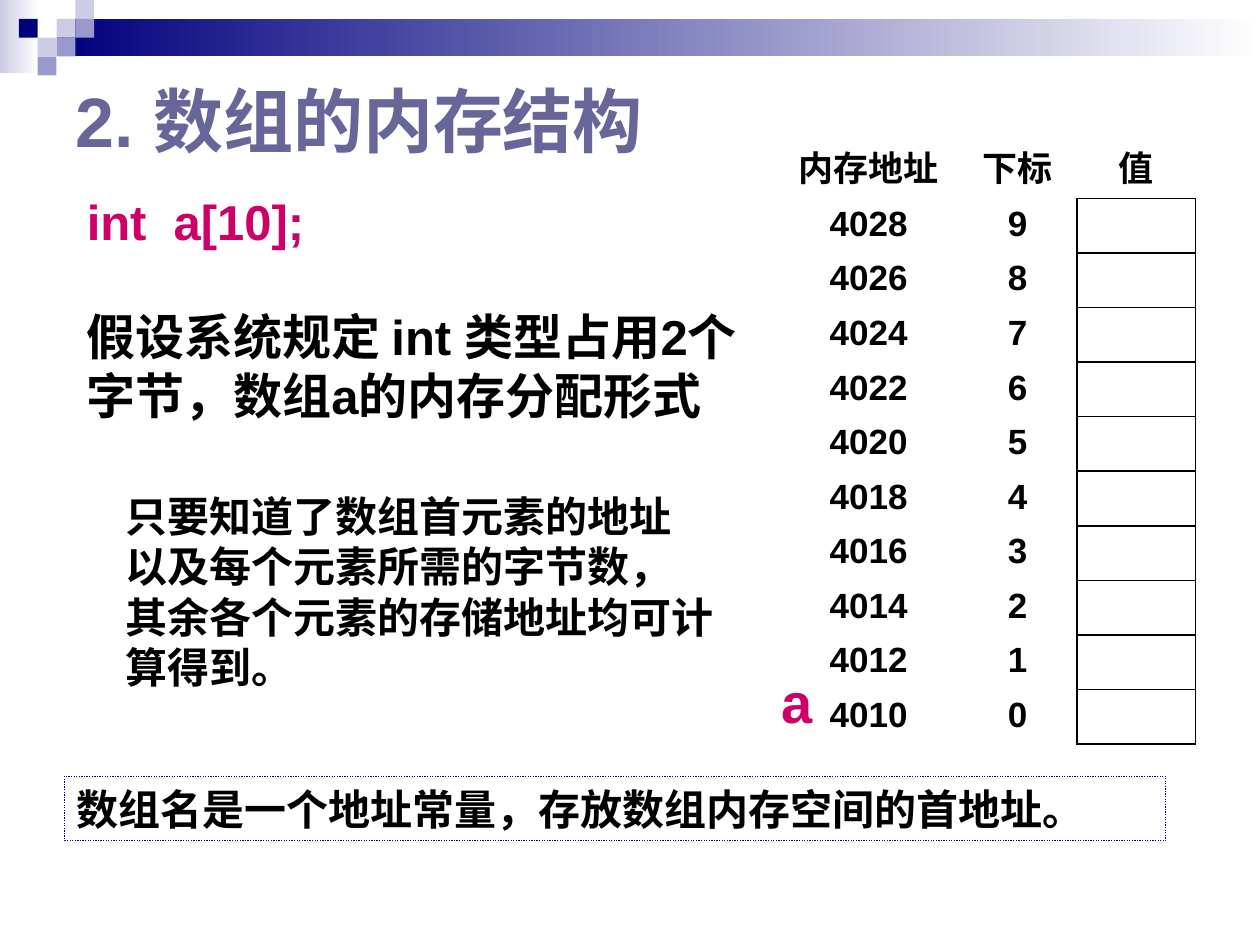
from lxml.etree import SubElement
from pptx import Presentation
from pptx.dml.color import RGBColor
from pptx.enum.dml import MSO_LINE
from pptx.enum.lang import MSO_LANGUAGE_ID as Lang
from pptx.enum.shapes import MSO_SHAPE as Shape
from pptx.enum.text import MSO_ANCHOR as Anchor, MSO_AUTO_SIZE as AutoSize, PP_ALIGN as Align
from pptx.oxml.ns import qn
from pptx.util import Cm, Pt

FONT = "Arial"
BLACK, WHITE, PINK, SLATE = "000000", "FFFFFF", "CC0066", "666699"
NAVY, LILAC, VIOLET = "00007D", "CCCCE6", "9999CC"
UNIT = 0.38  # side of one corner square, in cm
SQUARES = [  # column, row, colour
    (3, 1, LILAC), (4, 0, LILAC), (4, 1, VIOLET), (2, 2, LILAC),
    (1, 1, NAVY), (3, 2, VIOLET), (2, 3, VIOLET),
]
HEADERS = ["内存地址", "下标", "值"]
COUNT, FIRST_ADDRESS, INT_SIZE = 10, 4010, 2


def rgb(color):
    return RGBColor.from_string(color)


def format_text(tf, size, color, align=Align.LEFT):
    for p in tf.paragraphs:
        p.alignment = align
        for r in p.runs:
            r.font.name = FONT
            r.font.size = Pt(size)
            r.font.bold = True
            r.font.color.rgb = rgb(color)
            r.font.language_id = Lang.SIMPLIFIED_CHINESE


def add_rect(slide, x, y, w, h):
    sp = slide.shapes.add_shape(Shape.RECTANGLE, Cm(x), Cm(y), Cm(w), Cm(h))
    sp.shadow.inherit = False
    sp.line.fill.background()
    return sp


def add_square(slide, col, row, color):
    sp = add_rect(slide, col * UNIT, row * UNIT, UNIT, UNIT)
    sp.fill.solid()
    sp.fill.fore_color.rgb = rgb(color)


def add_fade(slide, x, y, w, h, color):
    """Rectangle fading from color at the left to white at the right."""
    fill = add_rect(slide, x, y, w, h).fill
    fill.gradient()
    fill.gradient_angle = 0
    for stop, (position, shade) in zip(fill.gradient_stops, [(0, color), (1, WHITE)]):
        stop.position = position
        stop.color.rgb = rgb(shade)


def add_title(slide, text):
    title = slide.shapes.title
    title.left, title.top, title.width, title.height = Cm(1.27), Cm(1.27), Cm(22.86), Cm(2.26)
    tf = title.text_frame
    tf.text = text
    tf.vertical_anchor = Anchor.MIDDLE
    tf.auto_size = AutoSize.NONE
    format_text(tf, 40, SLATE)


def add_text(slide, x, y, w, h, text, size, color, wrap=True, anchor=Anchor.MIDDLE):
    tf = slide.shapes.add_textbox(Cm(x), Cm(y), Cm(w), Cm(h)).text_frame
    tf.text = text
    tf.word_wrap = wrap
    tf.auto_size = AutoSize.SHAPE_TO_FIT_TEXT
    tf.vertical_anchor = anchor
    format_text(tf, size, color)


def add_note(slide, text):
    """Dotted box with the closing remark."""
    sp = add_rect(slide, 1.3, 15.65, 22.2, 1.3)
    sp.fill.background()
    sp.line.color.rgb = rgb(NAVY)
    sp.line.width = Pt(0.75)
    sp.line.dash_style = MSO_LINE.ROUND_DOT
    tf = sp.text_frame
    tf.text = text
    tf.word_wrap = True
    tf.vertical_anchor = Anchor.MIDDLE
    format_text(tf, 24, BLACK)


def set_borders(cell, sides):
    """Draw the sides named by letters of LRTB in black; leave the others without a line."""
    tc_pr = cell._tc.get_or_add_tcPr()
    for side in "LRTB":
        ln = SubElement(tc_pr, qn(f"a:ln{side}"), w=str(Pt(1)))
        if side in sides:
            fill = SubElement(ln, qn("a:solidFill"))
            SubElement(fill, qn("a:srgbClr"), val=BLACK)
        else:
            SubElement(ln, qn("a:noFill"))


def cell_sides(row, col):
    if col == 2:
        return "LRTB" if row else "B"
    return "R" if col == 1 and row else ""


def add_memory_table(slide):
    rows = [HEADERS]
    for i in reversed(range(COUNT)):
        rows.append([str(FIRST_ADDRESS + i * INT_SIZE), str(i), ""])
    frame = slide.shapes.add_table(len(rows), 3, Cm(15.7), Cm(2.72), Cm(8.4), Cm(12.1))
    table = frame.table
    table.first_row = table.horz_banding = False
    for column, width in zip(table.columns, [3.62, 2.39, 2.39]):
        column.width = Cm(width)
    for i, texts in enumerate(rows):
        table.rows[i].height = Cm(1.1)
        for j, text in enumerate(texts):
            cell = table.cell(i, j)
            cell.text = text
            set_borders(cell, cell_sides(i, j))
            cell.fill.background()
            format_text(cell.text_frame, 20, BLACK, Align.CENTER)


def main():
    prs = Presentation()
    prs.slide_width, prs.slide_height = Cm(25.4), Cm(19.05)
    slide = prs.slides.add_slide(prs.slide_layouts[5])

    add_fade(slide, 0, 0, 0.79, 1.47, LILAC)
    add_fade(slide, 1.14, 0.38, 24.26, 0.76, NAVY)
    for col, row, color in SQUARES:
        add_square(slide, col, row, color)

    add_title(slide, "2. 数组的内存结构")
    add_memory_table(slide)
    add_text(slide, 15.5, 13.34, 1.14, 1.63, "a", 32, PINK, wrap=False, anchor=Anchor.TOP)
    add_text(slide, 1.5, 3.73, 5.18, 1.45, "int  a[10];", 28, PINK, wrap=False, anchor=Anchor.TOP)
    add_text(slide, 1.5, 6.05, 13.87, 2.64,
             "假设系统规定 int 类型占用2个\n字节，数组a的内存分配形式", 28, BLACK)
    add_text(slide, 2.29, 9.73, 12.6, 4.37,
             "只要知道了数组首元素的地址\n以及每个元素所需的字节数，\n"
             "其余各个元素的存储地址均可计算得到。", 24, BLACK)
    add_note(slide, "数组名是一个地址常量，存放数组内存空间的首地址。")
    prs.save("out.pptx")


if __name__ == "__main__":
    main()
